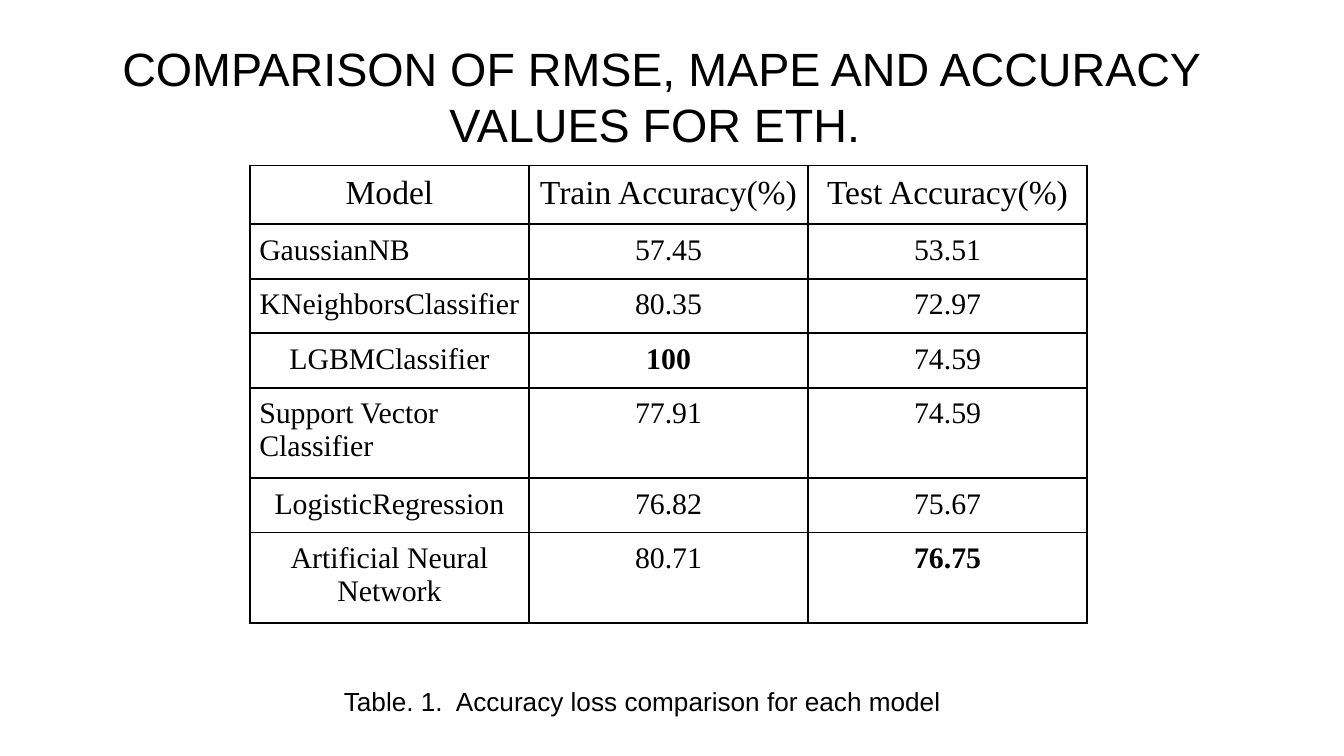
from typing import NamedTuple

import pptx
import pptx.dml.color
import pptx.enum.text
import pptx.oxml
import pptx.oxml.ns
import pptx.util

Inches = pptx.util.Inches
Pt = pptx.util.Pt
Align = pptx.enum.text.PP_ALIGN
Anchor = pptx.enum.text.MSO_ANCHOR
BLACK = pptx.dml.color.RGBColor(0, 0, 0)
MARGINS = ("margin_left", "margin_top", "margin_right", "margin_bottom")


class Label(NamedTuple):
    text: str
    left: float
    top: float
    width: float
    height: float
    size: int
    anchor: Anchor


class Model(NamedTuple):
    name: str
    train: str
    test: str
    align: Align = Align.CENTER
    size: int = 16


LABELS = [
    Label("COMPARISON OF RMSE, MAPE AND ACCURACY VALUES FOR ETH. ",
          0.26, 0.66, 9.32, 0.57, 25, Anchor.BOTTOM),
    Label("Table. 1.  Accuracy loss comparison for each model",
          1.22, 5, 7.12, 0.44, 14, Anchor.TOP),
]
MODELS = [
    Model("Model", "Train Accuracy(%)", "Test Accuracy(%)", size=18),
    Model("GaussianNB", "57.45", "53.51", Align.LEFT),
    Model("KNeighborsClassifier", "80.35", "72.97"),
    Model("LGBMClassifier", "100", "74.59"),
    Model("Support Vector Classifier", "77.91", "74.59", Align.LEFT),
    Model("LogisticRegression", "76.82", "75.67"),
    Model("Artificial Neural Network", "80.71", "76.75"),
]
BEST = {"100", "76.75"}


def apply(target, values: dict) -> None:
    for key, value in values.items():
        setattr(target, key, value)


def write(frame, text: str, align: Align, font: dict) -> None:
    line = frame.paragraphs[0]
    line.alignment = align
    run = line.add_run()
    run.text = text
    apply(run.font, font)
    run.font.color.rgb = BLACK


def label(slide, item: Label) -> None:
    box = slide.shapes.add_textbox(
        Inches(item.left), Inches(item.top), Inches(item.width), Inches(item.height))
    frame = box.text_frame
    apply(frame, {"word_wrap": True, "vertical_anchor": item.anchor,
                  **dict.fromkeys(MARGINS, Inches(0.1))})
    write(frame, item.text, Align.CENTER, {"name": "Arial", "size": Pt(item.size)})


def border(cell) -> None:
    props = cell._tc.get_or_add_tcPr()
    space = pptx.oxml.ns.nsdecls("a")
    for spot, side in enumerate(("lnL", "lnR", "lnT", "lnB")):
        props.insert(spot, pptx.oxml.parse_xml(
            f'<a:{side} {space} w="{Pt(1)}"><a:solidFill>'
            f'<a:srgbClr val="{BLACK}"/></a:solidFill></a:{side}>'))


def grid(slide, models: list[Model]) -> None:
    width = Inches(6.23) // 3
    high = Inches(0.33)
    table = slide.shapes.add_table(
        len(models), 3, Inches(1.86), Inches(1.23), width * 3, high * len(models)).table
    apply(table, {"first_row": False, "horz_banding": False})
    for column in table.columns:
        column.width = width
    for row, model in zip(table.rows, models):
        row.height = high
        texts = (model.name, model.train, model.test)
        aligns = (model.align, Align.CENTER, Align.CENTER)
        for cell, text, align in zip(row.cells, texts, aligns):
            apply(cell, dict.fromkeys(MARGINS, Pt(5)))
            cell.fill.background()
            border(cell)
            write(cell.text_frame, text, align,
                  {"name": "Times New Roman", "size": Pt(model.size),
                   "bold": text in BEST})


def main() -> None:
    deck = pptx.Presentation()
    wide = Inches(10)
    apply(deck, {"slide_width": wide, "slide_height": wide * 9 // 16})
    slide = deck.slides.add_slide(deck.slide_layouts[6])
    for item in LABELS:
        label(slide, item)
    grid(slide, MODELS)
    deck.save("out.pptx")


if __name__ == "__main__":
    main()
